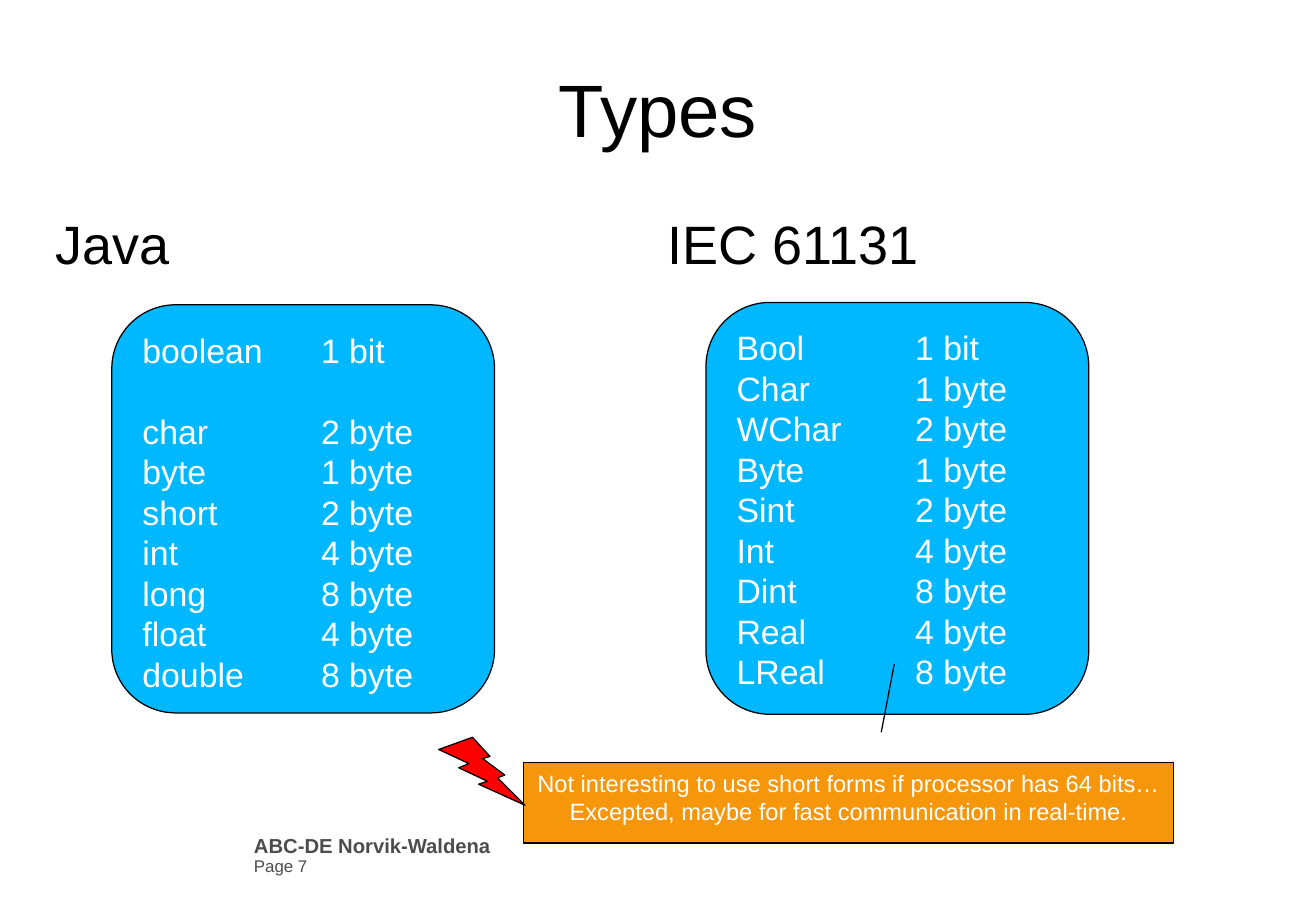
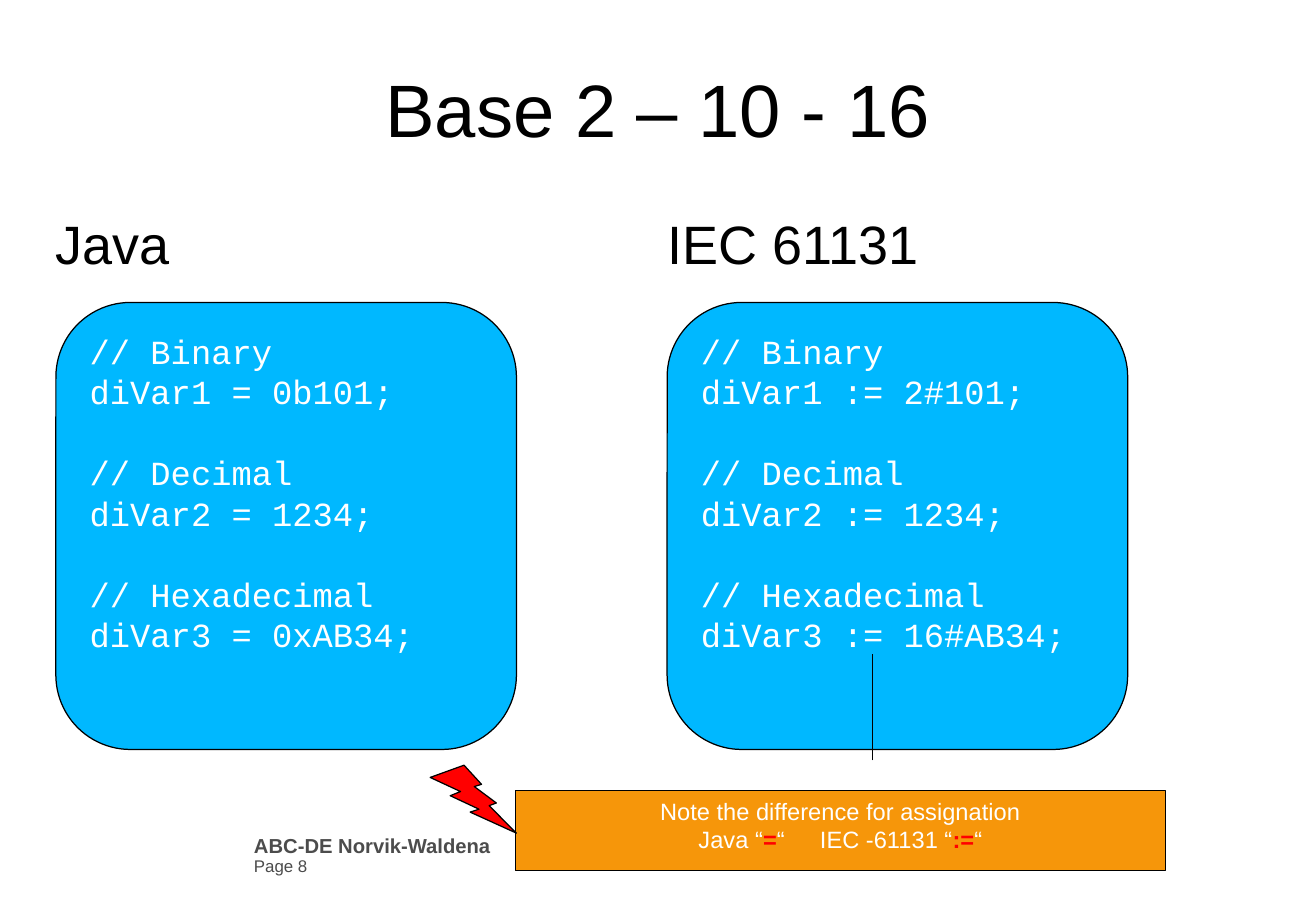
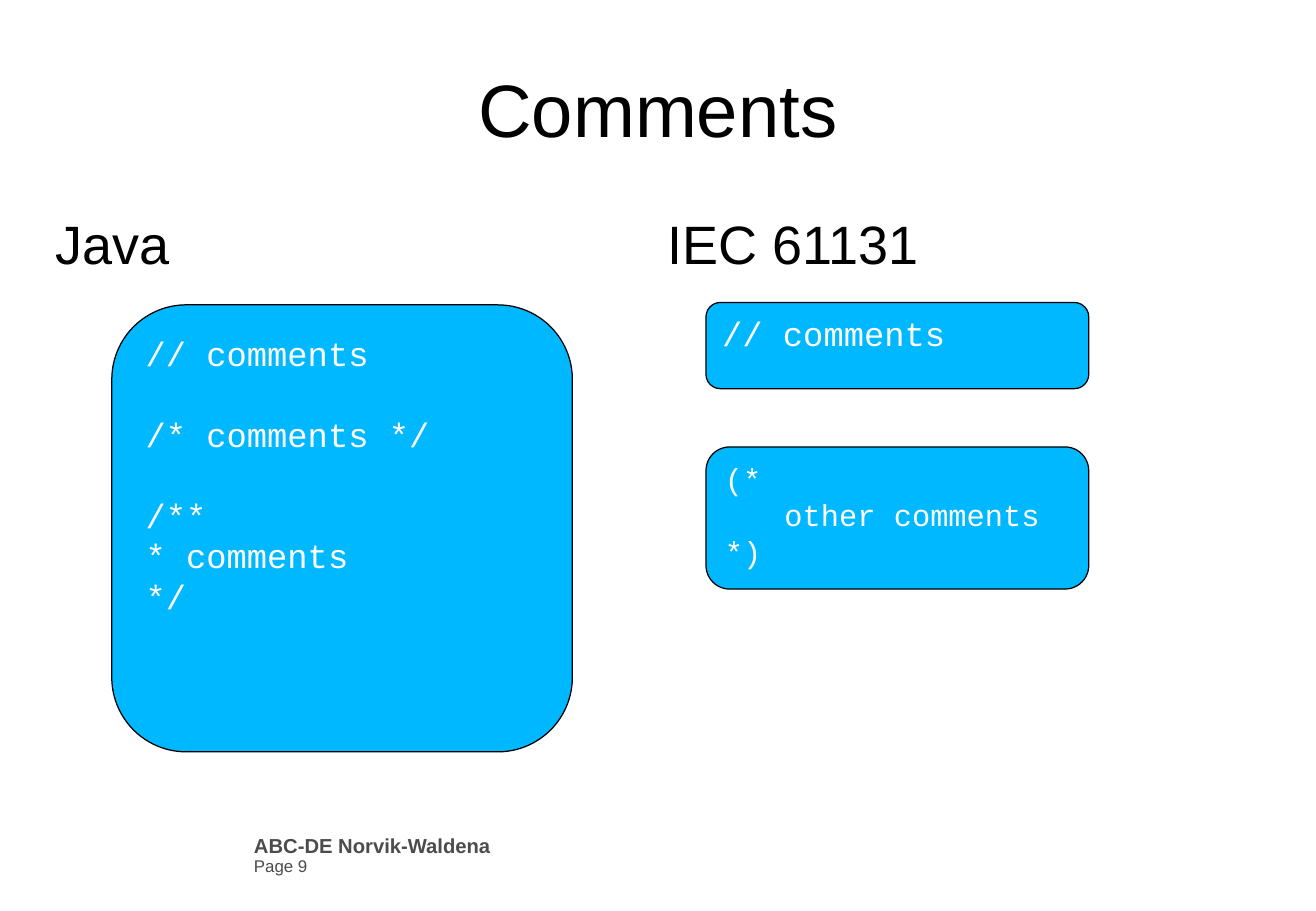
from pptx import Presentation
from pptx import util as u
from pptx.dml.color import RGBColor
from pptx.enum import shapes, text
from lxml import etree

# Shared look
WIDE, HIGH = 10.83, 7.5
COLS = (0.46, 5.49)      # left edges of the two columns
TOP = 2.49               # top of the boxes
STEP = 0.32              # inset of a narrow box in the right column
NARROW, BROAD = 3.15, 3.79
TALL = 3.68
SANS, MONO = "Arial", "Courier New"
BLACK, WHITE, GREY = "000000", "FFFFFF", "4C4C4C"
BLUE, ORANGE, RED = "00B8FF", "F6960A", "FF0000"
PITCH = 1.2              # line pitch as a share of the font size
KIND = shapes.MSO_SHAPE
ALIGN = text.PP_ALIGN


def color(code):
    return RGBColor.from_string(code)


def style(font, size, tint, face=SANS, bold=False):
    font.name, font.size, font.bold = face, u.Pt(size), bold
    font.color.rgb = color(tint)


def place(shape, x, y, w, h):
    shape.left, shape.top, shape.width, shape.height = map(u.Inches, (x, y, w, h))


def margin(frame, top=0):
    frame.margin_left = frame.margin_right = frame.margin_bottom = 0
    frame.margin_top = u.Inches(top)
    frame.word_wrap = True


def lines(frame, count):
    """Return the given number of paragraphs of a fresh frame."""
    return [frame.paragraphs[0]] + [frame.add_paragraph() for _ in range(count - 1)]


def tab(para, inch):
    """Set one left tab stop."""
    props = para._p.get_or_add_pPr()
    space = props.nsmap["a"]
    stops = etree.SubElement(props, f"{{{space}}}tabLst")
    etree.SubElement(stops, f"{{{space}}}tab", pos=str(u.Inches(inch)), algn="l")


def label(slide, words, x, y, w, h, looks, space, top=0):
    """Plain text box; looks holds size, colour, face and weight per line."""
    frame = slide.shapes.add_textbox(*map(u.Inches, (x, y, w, h))).text_frame
    margin(frame, top)
    for para, line, look in zip(lines(frame, len(words)), words, looks):
        para.text = line
        para.line_spacing = space
        style(para.font, *look)


def shape(slide, kind, x, y, w, h, fill):
    item = slide.shapes.add_shape(kind, *map(u.Inches, (x, y, w, h)))
    item.shadow.inherit = False
    item.fill.solid()
    item.fill.fore_color.rgb = color(fill)
    item.line.color.rgb = color(BLACK)
    item.line.width = u.Pt(0.75)
    item.text_frame.vertical_anchor = text.MSO_ANCHOR.TOP
    return item


def box(slide, x, y, w, h, groups, face=MONO, size=20, stop=None):
    """Rounded box; groups of lines are set one line apart."""
    frame = shape(slide, KIND.ROUNDED_RECTANGLE, x, y, w, h, BLUE).text_frame
    rows = [(line, bool(g) and not n)
            for g, group in enumerate(groups) for n, line in enumerate(group)]
    for para, (line, gap) in zip(lines(frame, len(rows)), rows):
        para.text = line
        para.alignment = ALIGN.LEFT
        para.line_spacing = u.Pt(size * PITCH)
        if gap:
            para.space_before = u.Pt(size * PITCH)
        style(para.font, size, WHITE, face)
        if stop:
            tab(para, stop)


def note(slide, x, y, tip, rows):
    """Callout with a bolt at its left; rows hold (text, marked) runs."""
    item = shape(slide, KIND.LINE_CALLOUT_1, x, y, 5.35, 0.66, ORANGE)
    for n, value in enumerate((-0.38, 0.55, *tip)):
        item.adjustments[n] = value
    for para, row in zip(lines(item.text_frame, len(rows)), rows):
        para.alignment = ALIGN.CENTER
        para.line_spacing = u.Pt(14 * PITCH)
        style(para.font, 14, WHITE)
        for words, mark in row:
            run = para.add_run()
            run.text = words
            if mark:
                style(run.font, 14, RED, bold=True)
    shape(slide, KIND.LIGHTNING_BOLT, x - 0.7, y - 0.21, 0.71, 0.56, RED)


def page(deck, title, number):
    """Slide with title, column heads and footer."""
    slide = deck.slides.add_slide(deck.slide_layouts[5])
    head = slide.shapes.title
    place(head, 0.54, 0.3, 9.75, 1.25)
    head.text_frame.text = title
    margin(head.text_frame)
    head.text_frame.vertical_anchor = text.MSO_ANCHOR.MIDDLE
    para = head.text_frame.paragraphs[0]
    para.alignment = ALIGN.CENTER
    para.line_spacing = 0.93
    style(para.font, 44, BLACK)
    for x, name in zip(COLS, ("Java", "IEC 61131")):
        label(slide, [name], x, 1.75, 4.8, 0.6, [(32, BLACK)], 0.93, 0.03)
    label(slide, ["ABC-DE Norvik-Waldena", f"Page {number}"], 2.09, 6.88, 2.95, 0.28,
          [(12, GREY, SANS, True), (10, GREY)], 0.9)
    return slide


def types(deck):
    slide = page(deck, "Types", 7)
    java = [["boolean\t1 bit"],
            ["char\t2 byte", "byte\t1 byte", "short\t2 byte", "int\t4 byte",
             "long\t8 byte", "float\t4 byte", "double\t8 byte"]]
    iec = [["Bool\t1 bit", "Char\t1 byte", "WChar\t2 byte", "Byte\t1 byte",
            "Sint\t2 byte", "Int\t4 byte", "Dint\t8 byte", "Real\t4 byte",
            "LReal\t8 byte"]]
    box(slide, COLS[1] + STEP, TOP, NARROW, 3.39, iec, SANS, stop=1.47)
    box(slide, COLS[0] * 2, TOP + 0.02, NARROW, 3.36, java, SANS, stop=1.47)
    note(slide, 4.31, 6.28, (-1.23, 0.57), [
        [("Not interesting to use short forms if processor has 64 bits…", False)],
        [("Excepted, maybe for fast communication in real-time.", False)]])


def bases(deck):
    slide = page(deck, "Base 2 – 10 - 16", 8)
    names = ("Binary", "Decimal", "Hexadecimal")
    code = (("=", ("0b101", "1234", "0xAB34")),
            (":=", ("2#101", "1234", "16#AB34")))
    for x, (sign, values) in zip(COLS, code):
        groups = [[f"// {name}", f"diVar{n} {sign} {value};"]
                  for n, (name, value) in enumerate(zip(names, values), 1)]
        box(slide, x, TOP, BROAD, TALL, groups)
    note(slide, 4.24, 6.51, (-1.71, 0.55), [
        [("Note the difference for assignation", False)],
        [("Java “", False), ("=", True), ("“\tIEC -61131 “", False),
         (":=", True), ("“", False)]])


def remarks(deck):
    slide = page(deck, "Comments", 9)
    left = COLS[1] + STEP
    box(slide, left, TOP, NARROW, 0.71, [["// comments"]])
    box(slide, COLS[0] * 2, TOP + 0.02, BROAD, TALL,
        [["// comments"], ["/* comments */"], ["/**", "* comments", "*/"]])
    box(slide, left, 3.68, NARROW, 1.17, [["(*", "\tother comments", "*)"]],
        size=18, stop=0.49)


def main():
    deck = Presentation()
    deck.slide_width, deck.slide_height = u.Inches(WIDE), u.Inches(HIGH)
    for build in (types, bases, remarks):
        build(deck)
    deck.save("out.pptx")


if __name__ == "__main__":
    main()
